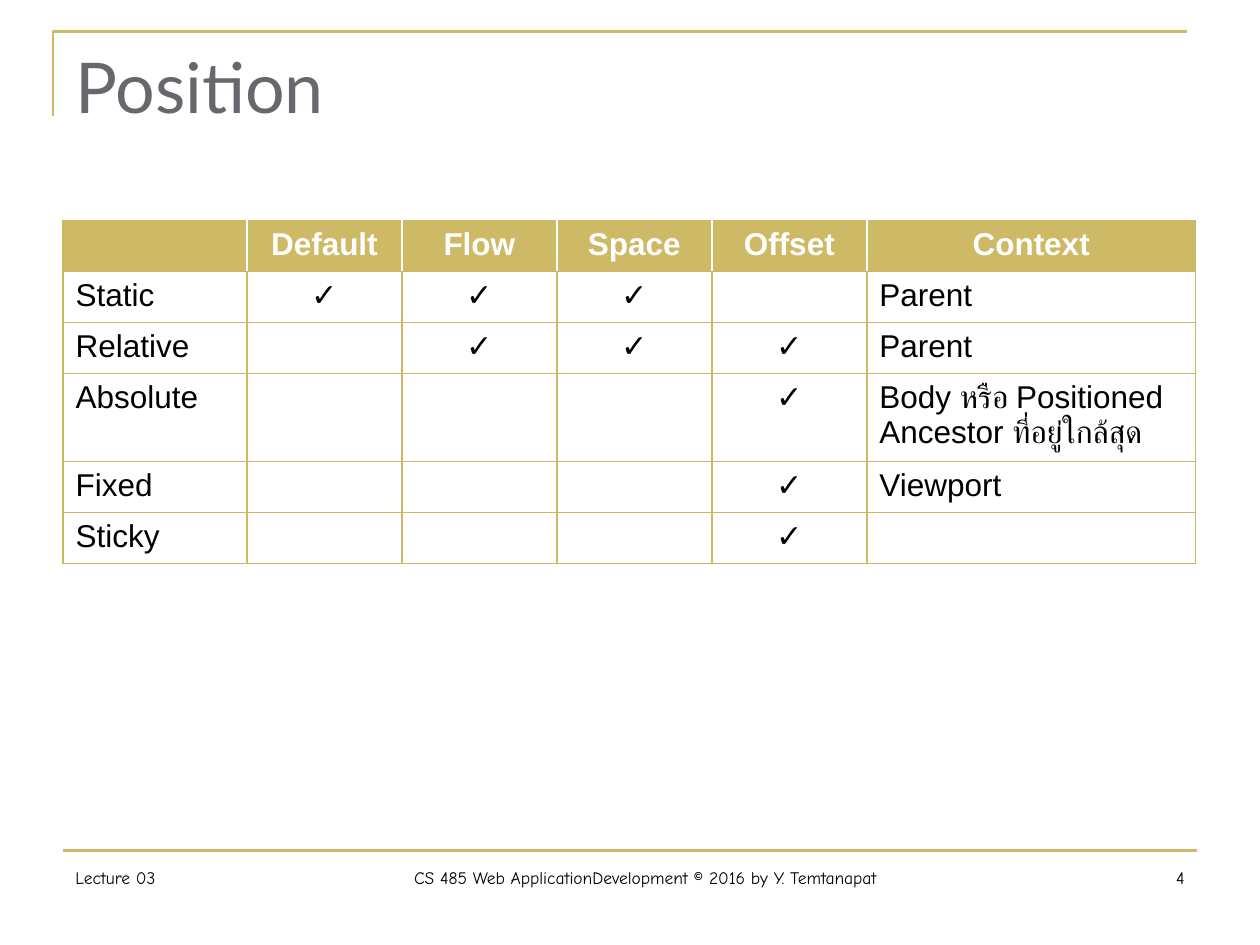
import pptx
import pptx.dml.color
import pptx.enum.shapes
import pptx.enum.text
import pptx.oxml
import pptx.oxml.ns
import pptx.util

WIDTH, HEIGHT = 10, 7.5
COLOURS = {"gold": "CEB966", "edge": "CCB661", "grey": "69676D",
           "black": "000000", "white": "FFFFFF"}
ALIGN = pptx.enum.text.PP_ALIGN
FOOTER = {"name": "Comic Neue", "size": 10, "colour": "black"}
TITLE = {"name": "Lato", "size": 40, "colour": "grey"}
BODY = {"name": "Arial", "size": 18, "colour": "black", "bold": False}
HEADING = {**BODY, "colour": "white", "bold": True}

HEADINGS = ["", "Default", "Flow", "Space", "Offset", "Context"]
# Position, columns that are ticked, context
POSITIONS = [
    ("Static", (1, 2, 3), "Parent"),
    ("Relative", (2, 3, 4), "Parent"),
    ("Absolute", (4,), "Body หรือ Positioned Ancestor ที่อยู่ใกล้สุด"),
    ("Fixed", (4,), "Viewport"),
    ("Sticky", (4,), ""),
]


def across(share):
    return pptx.util.Inches(WIDTH * share)


def down(share):
    return pptx.util.Inches(HEIGHT * share)


def colour(name):
    return pptx.dml.color.RGBColor.from_string(COLOURS[name])


def write(frame, text, style, align=ALIGN.LEFT):
    para = frame.paragraphs[0]
    para.alignment = align
    if not text:
        return
    span = para.add_run()
    span.text = text
    values = {**style, "size": pptx.util.Pt(style["size"])}
    span.font.color.rgb = colour(values.pop("colour"))
    for name, value in values.items():
        setattr(span.font, name, value)


def add_text(page, left, top, width, height, text, style, align=ALIGN.LEFT):
    box = page.shapes.add_textbox(across(left), down(top), across(width), down(height))
    box.text_frame.word_wrap = True
    write(box.text_frame, text, style, align)


def style_line(shape):
    shape.line.color.rgb = colour("gold")
    shape.line.width = pptx.util.Pt(1.5)


def add_corner(page, left, top, right, bottom):
    builder = page.shapes.build_freeform(across(left), down(bottom))
    builder.add_line_segments([(across(left), down(top)), (across(right), down(top))],
                              close=False)
    corner = builder.convert_to_shape()
    corner.shadow.inherit = False
    corner.fill.background()
    style_line(corner)


def add_rule(page, left, right, level):
    rule = page.shapes.add_connector(pptx.enum.shapes.MSO_CONNECTOR.STRAIGHT,
                                     across(left), down(level), across(right), down(level))
    style_line(rule)
    pptx.oxml.ns.qn("a:effectLst")
    rule._element.spPr.append(pptx.oxml.parse_xml(
        f'<a:effectLst {pptx.oxml.ns.nsdecls("a")}/>'))


def add_border(cell, side, name, points):
    cell._tc.get_or_add_tcPr().append(pptx.oxml.parse_xml(
        f'<a:ln{side} {pptx.oxml.ns.nsdecls("a")} w="{pptx.util.Pt(points)}">'
        f'<a:solidFill><a:srgbClr val="{COLOURS[name]}"/></a:solidFill></a:ln{side}>'))


def format_cell(cell, row, column):
    inner = ("white" if row == 0 else "gold", 1)
    outer = ("edge", 0.75)
    last = len(HEADINGS) - 1
    add_border(cell, "L", *(inner if column > 0 else outer))
    add_border(cell, "R", *(inner if column < last else outer))
    add_border(cell, "T", *outer)
    add_border(cell, "B", *outer)
    if row == 0:
        cell.fill.solid()
        cell.fill.fore_color.rgb = colour("gold")
    else:
        cell.fill.background()


def add_position_table(page, left, top, widths, row_height):
    rows = [HEADINGS]
    for name, ticked, context in POSITIONS:
        marks = ["✓" if column in ticked else "" for column in range(1, 5)]
        rows.append([name, *marks, context])
    table = page.shapes.add_table(len(rows), len(widths), across(left), down(top),
                                  across(sum(widths)), down(row_height * len(rows))).table
    table.first_row = table.horz_banding = False
    for column, width in zip(table.columns, widths):
        column.width = across(width)
    for row, texts in enumerate(rows):
        table.rows[row].height = down(row_height)
        for column, text in enumerate(texts):
            cell = table.cell(row, column)
            format_cell(cell, row, column)
            centred = row == 0 or 0 < column < len(texts) - 1
            write(cell.text_frame, text, BODY if row else HEADING,
                  ALIGN.CENTER if centred else ALIGN.LEFT)


def main():
    deck = pptx.Presentation()
    deck.slide_width, deck.slide_height = across(1), down(1)
    page = deck.slides.add_slide(deck.slide_layouts[6])

    # Frame lines
    add_corner(page, 0.042, 0.25 / HEIGHT, 0.942, 0.92 / HEIGHT)
    add_rule(page, 0.05, 0.95, 0.9)

    # Title and table
    add_text(page, 0.05, 0.04, 0.9, 1 / 6, "Position", TITLE)
    add_position_table(page, 0.05, 1.75 / HEIGHT, [0.146] + [0.123] * 4 + [0.261],
                       0.405 / HEIGHT)

    # Footer: three boxes side by side
    left = 0.05
    for width, text, align in (
            (0.161, "Lecture 03", ALIGN.LEFT),
            (0.602, "CS 485 Web ApplicationDevelopment © 2016 by Y. Temtanapat", ALIGN.CENTER),
            (0.137, "4", ALIGN.RIGHT)):
        add_text(page, left, 0.911, width, 1 / 15, text, FOOTER, align)
        left += width

    deck.save("out.pptx")


if __name__ == "__main__":
    main()
